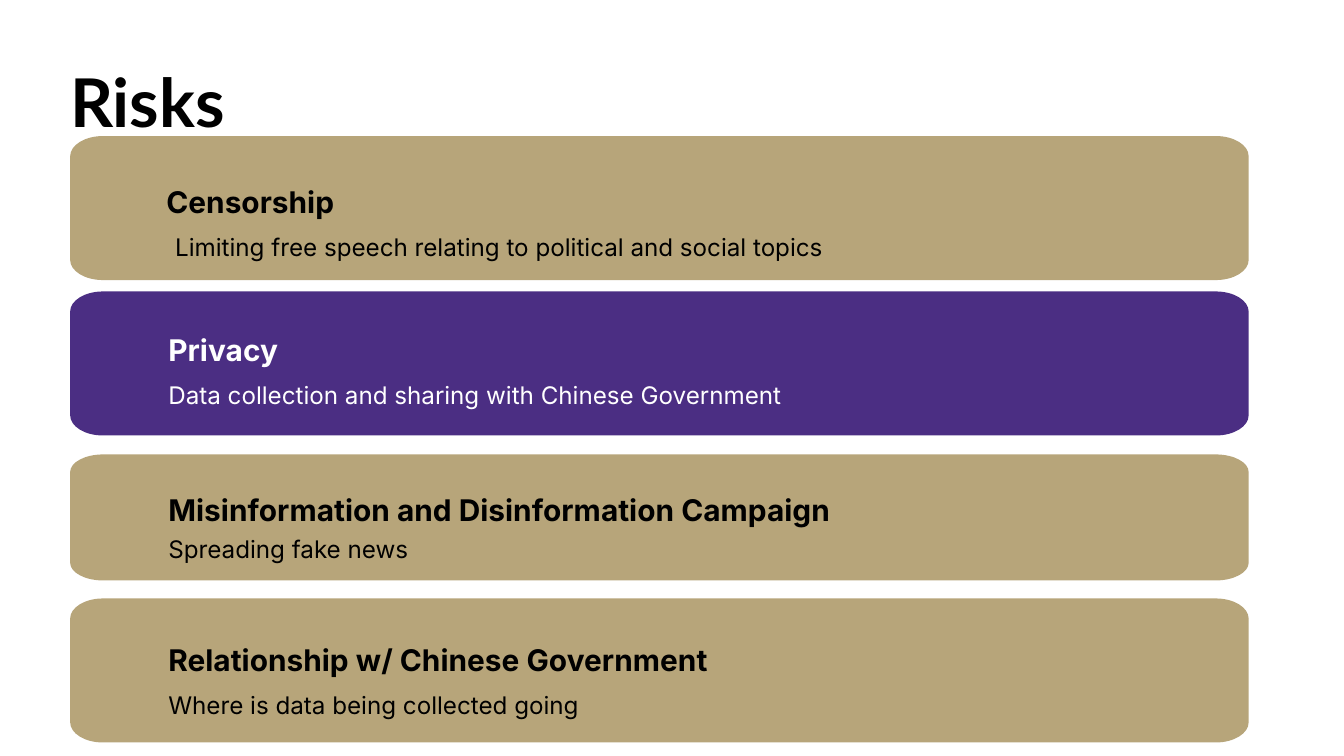
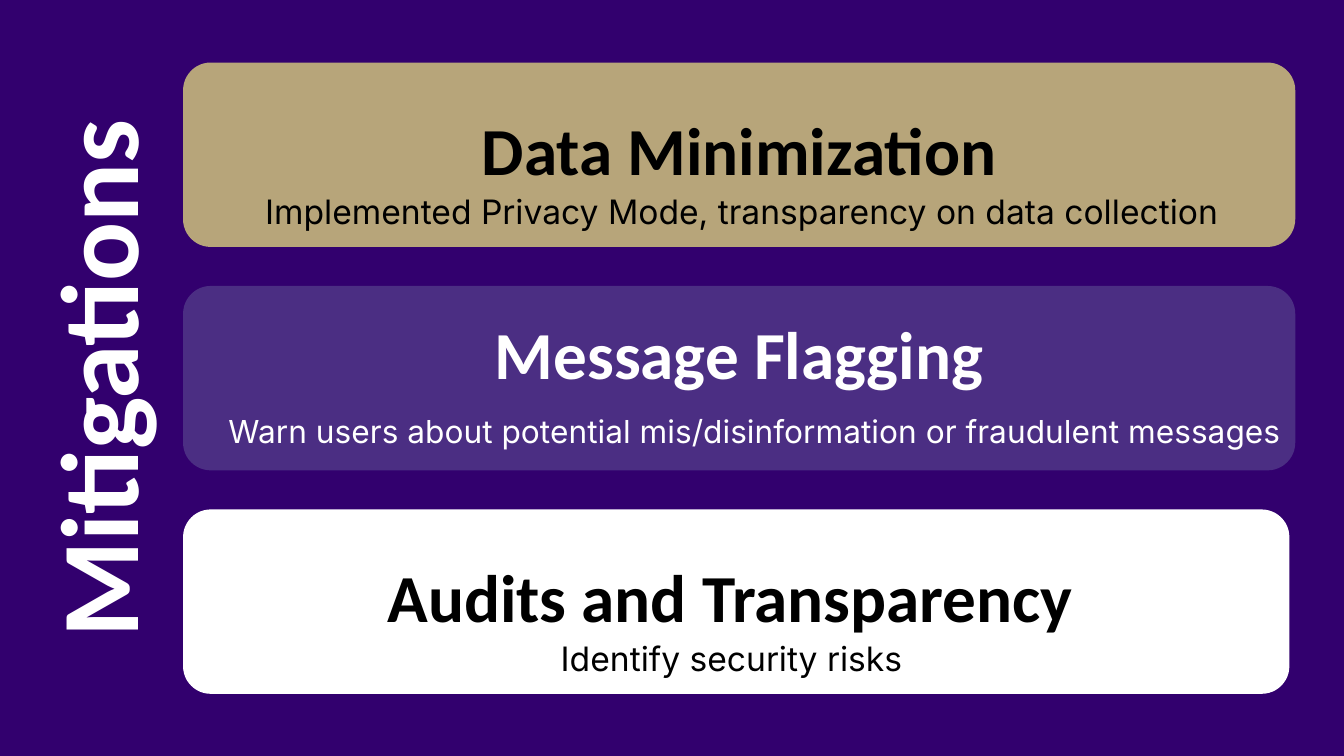
from pptx import Presentation
from pptx import util as u
from pptx.dml.color import RGBColor
from pptx.enum import shapes, text
from pptx.oxml import ns
from lxml import etree

COLORS = {
    "gold": "B7A57A",
    "purple": "4B2E83",
    "deep": "32006E",
    "white": "FFFFFF",
    "black": "000000",
}
COLS, ROWS = 160, 90
WIDTH, HEIGHT = u.Inches(13.33), u.Inches(7.5)

RISK_HEAD = dict(size=21.33, font="Inter", bold=True, spacing=1.3)
RISK_NOTE = dict(size=17.33, font="Inter", spacing=1.5)
FIX_HEAD = dict(size=48, font="Calibri", bold=True, spacing=1.2, centered=True)
FIX_NOTE = dict(font="Inter", spacing=1.5, centered=True)

RISKS = [
    ("gold", "black", 16.2, 17.15,
     "Censorship", (11.45, 4.4),
     "Limiting free speech relating to political and social topics", (12.5, 9.7)),
    ("purple", "white", 34.7, 17.15,
     "Privacy", (11.7, 3.5),
     "Data collection and sharing with Chinese Government", (11.7, 8.9)),
    ("gold", "black", 54.1, 15,
     "Misinformation and Disinformation Campaign", (11.7, 3.2),
     "Spreading fake news", (11.7, 7.8)),
    ("gold", "black", 71.25, 17.15,
     "Relationship w/ Chinese Government", (11.7, 3.85),
     "Where is data being collected going", (11.7, 9.15)),
]
MITIGATIONS = [
    ("gold", "black", 132.4,
     "Data Minimization", (0, 3.5),
     "Implemented Privacy Mode, transparency on data collection", (0.3, 12.85), 24),
    ("purple", "white", 132.4,
     "Message Flagging", (0, 1.2),
     "Warn users about potential mis/disinformation or fraudulent messages",
     (1.95, 12.75), 22.67),
    ("white", "black", 131.7,
     "Audits and Transparency", (-0.7, 3.6),
     "Identify security risks ", (0, 12.85), 24),
]


def rgb(name):
    return RGBColor.from_string(COLORS[name])


def grid(x, y, w, h):
    col, row = WIDTH / COLS, HEIGHT / ROWS
    return [u.Emu(round(n)) for n in (x * col, y * row, w * col, h * row)]


def add_text(parent, box, words, *, size, font, color, spacing,
             bold=False, centered=False, rotation=0):
    tb = parent.add_textbox(*grid(*box))
    tb.rotation = rotation
    tf = tb.text_frame
    tf.word_wrap = True
    tf.auto_size = text.MSO_AUTO_SIZE.SHAPE_TO_FIT_TEXT
    tf.margin_left = tf.margin_right = tf.margin_top = tf.margin_bottom = 0
    p = tf.paragraphs[0]
    p.line_spacing = spacing
    p.alignment = text.PP_ALIGN.CENTER if centered else text.PP_ALIGN.LEFT
    r = p.add_run()
    r.text = words
    r.font.size = u.Pt(size)
    r.font.name = font
    r.font.bold = bold
    r.font.color.rgb = rgb(color)


def paint(sp, color):
    sp.shadow.inherit = False
    sp.fill.solid()
    sp.fill.fore_color.rgb = rgb(color)
    sp.line.fill.background()


def bend(segment, start, corner, end):
    curve = etree.Element(ns.qn("a:cubicBezTo"))
    pulls = [[a + (c - a) * 0.55 for a, c in zip(point, corner)]
             for point in (start, end)]
    for px, py in (*pulls, end):
        etree.SubElement(curve, ns.qn("a:pt"), x=str(round(px)), y=str(round(py)))
    segment.getparent().replace(segment, curve)


def oval_corner_card(parent, box, color):
    x, y, w, h = grid(*box)
    rx, ry = round(3.9 * WIDTH / COLS), round(h * 0.14)
    points = [(w - rx, h), (rx, h), (0, h - ry), (0, ry), (rx, 0),
              (w - rx, 0), (w, ry), (w, h - ry), (w - rx, h)]
    placed = [(x + px, y + py) for px, py in points]
    outline = parent.build_freeform(*placed[0])
    outline.add_line_segments(placed[1:], close=True)
    sp = outline.convert_to_shape()
    segments = list(sp.element.iter(ns.qn("a:lnTo")))
    for i, corner in enumerate([(0, h), (0, 0), (w, 0), (w, h)]):
        k = 2 * i + 1
        bend(segments[k], points[k], corner, points[k + 1])
    paint(sp, color)


def round_corner_card(parent, box, color):
    sp = parent.add_shape(shapes.MSO_SHAPE.ROUNDED_RECTANGLE, *grid(*box))
    sp.adjustments[0] = 0.15
    paint(sp, color)


def risk_card(s, box, fill, ink, head, head_at, note, note_at):
    group = s.shapes.add_group_shape().shapes
    x, y, w, _ = box
    oval_corner_card(group, box, fill)
    for words, (dx, dy), height, style in (
            (note, note_at, 5.3, RISK_NOTE), (head, head_at, 5.65, RISK_HEAD)):
        add_text(group, (x + dx, y + dy, w - dx - 6, height), words, color=ink, **style)


def mitigation_card(s, box, fill, ink, head, head_at, note, note_at, note_size):
    group = s.shapes.add_group_shape().shapes
    x, y, w, _ = box
    round_corner_card(group, box, fill)
    for words, (dx, dy), height, style in (
            (note, note_at, 7.3, dict(FIX_NOTE, size=note_size)),
            (head, head_at, 11.65, FIX_HEAD)):
        add_text(group, (x + dx, y + dy, w, height), words, color=ink, **style)


def new_slide(prs, background):
    s = prs.slides.add_slide(prs.slide_layouts[6])
    s.background.fill.solid()
    s.background.fill.fore_color.rgb = rgb(background)
    return s


def risks_slide(prs):
    s = new_slide(prs, "white")
    left, width = 8.35, 140.3
    for fill, ink, top, height, *words in RISKS:
        risk_card(s, (left, top, width, height), fill, ink, *words)
    add_text(s.shapes, (left, 5.3, 74.8, 13.9), "Risks",
             size=48, font="Lato", color="black", bold=True, spacing=1.2)


def mitigations_slide(prs):
    s = new_slide(prs, "deep")
    left, top, height, pitch = 21.8, 7.45, 21.95, 26.6
    for i, (fill, ink, width, *words) in enumerate(MITIGATIONS):
        mitigation_card(s, (left, top + i * pitch, width, height), fill, ink, *words)
    add_text(s.shapes, (-35.3, 35.5, 90.2, 19.1), "Mitigations",
             size=78.67, font="Calibri", color="white", bold=True,
             spacing=1.2, centered=True, rotation=270)


def main():
    prs = Presentation()
    prs.slide_width, prs.slide_height = WIDTH, HEIGHT
    risks_slide(prs)
    mitigations_slide(prs)
    prs.save("out.pptx")


if __name__ == "__main__":
    main()
